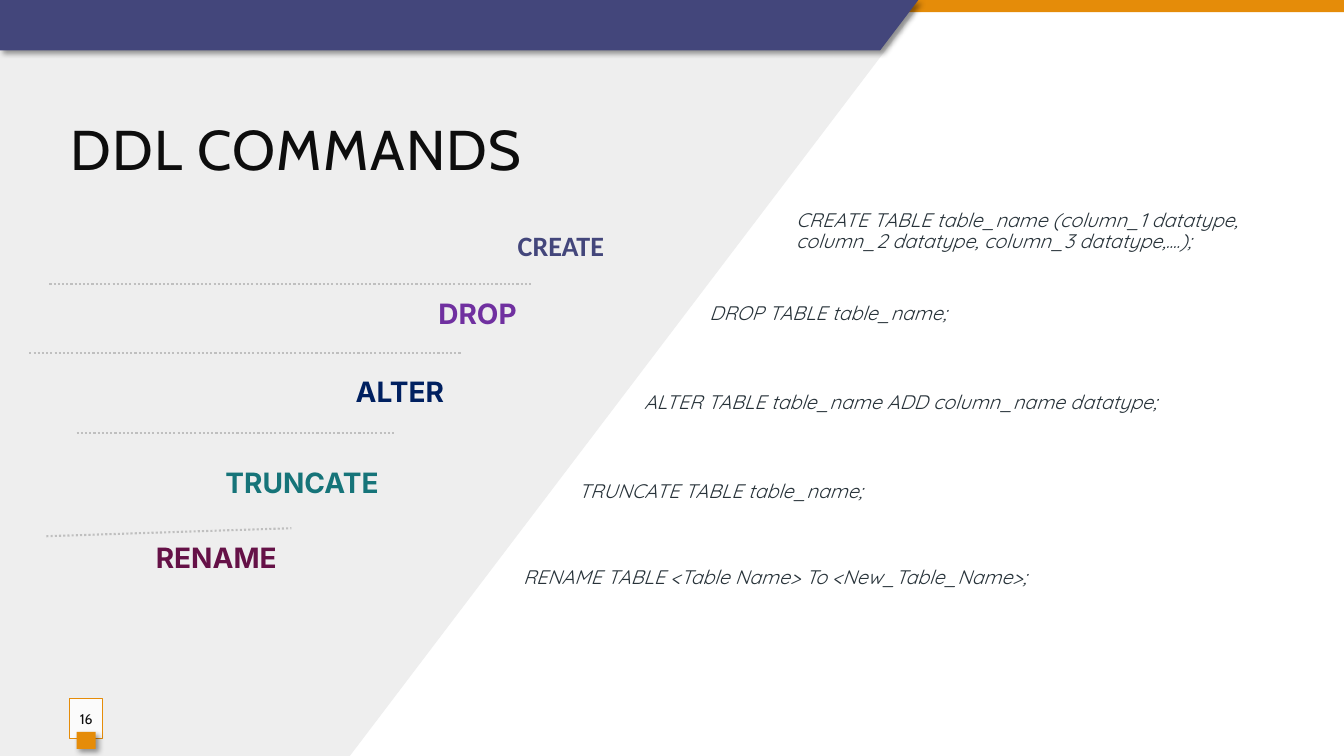
"""Build the DDL commands slide."""
import pptx
import pptx.util
import pptx.dml.color
import pptx.enum.dml
import pptx.enum.shapes
import pptx.enum.text
import pptx.oxml
import pptx.oxml.ns

WIDTH, HEIGHT = 13.33, 7.5
COLOURS = {
    "panel": "EEEEEE", "banner": "43467B", "accent": "E58C09", "white": "FFFFFF",
    "ink": "0D0D0D", "syntax": "273239", "rule": "BFBFBF", "create": "43467B",
    "drop": "7030A0", "alter": "002060", "truncate": "167479", "rename": "651147",
}

# Every position is a percentage of the slide's width or height.
TITLE = ("DDL COMMANDS", (4.5, 14.4, 88.65, 10.27))
PAGE = ("16", (5.18, 92.4, 2.48, 5.33))
PAGE_TAB = (5.7, 96.8, 1.43, 2.27)
TOP_BAR = (0, 0, 100, 1.6)
PANEL = [(0, 0), (68.33, 0), (68.33, 0.93), (26.03, 100), (0, 100)]
BANNER = [(0, 0), (68.33, 0), (65.48, 6.67), (0, 6.67)]
COMMAND_HEIGHT, SYNTAX_HEIGHT = 6.13, 13.33
COMMANDS = [
    ("CREATE", "Calibri", "create", (5.18, 32.67, 40.5)),
    ("DROP ", "Inter", "drop", (6.68, 41.73, 33)),
    ("ALTER ", "Inter", "alter", (12, 52, 22.28)),
    ("TRUNCATE ", "Inter", "truncate", (11.03, 64.13, 18.38)),
    ("RENAME ", "Inter", "rename", (1.58, 74, 20.25)),
]
SYNTAX = [
    ("CREATE TABLE table_name (column_1 datatype, column_2 datatype, column_3 datatype,....);",
     (58.5, 30.67, 40.5)),
    ("DROP TABLE table_name;", (52.05, 41.6, 46.95)),
    ("ALTER TABLE table_name ADD column_name datatype;", (47.18, 53.33, 51.98)),
    ("TRUNCATE TABLE table_name;", (42.3, 65.07, 56.85)),
    ("RENAME TABLE <Table Name> To <New_Table_Name>;", (38.18, 76.53, 58.35)),
]
RULES = [
    (3.68, 37.6, 39.68, 37.6),
    (2.18, 46.67, 34.28, 46.67),
    (5.7, 57.33, 29.4, 57.33),
    (3.45, 70.93, 21.68, 69.87),
]
SHADOW = (
    f'<a:effectLst {pptx.oxml.ns.nsdecls("a")}>'
    '<a:outerShdw blurRad="50800" dist="38100" dir="2700000" algn="tl" rotWithShape="0">'
    '<a:srgbClr val="000000"><a:alpha val="40000"/></a:srgbClr></a:outerShdw></a:effectLst>'
)


def rgb(name):
    return pptx.dml.color.RGBColor.from_string(COLOURS[name])


def place(*shares):
    sides = (WIDTH, HEIGHT, WIDTH, HEIGHT)
    return [pptx.util.Inches(share * side / 100) for share, side in zip(shares, sides)]


def centred(left, middle, width, height):
    return left, middle - height / 2, width, height


def paint(shape, fill, shadowed=False):
    shape.shadow.inherit = False
    shape.fill.solid()
    shape.fill.fore_color.rgb = rgb(fill)
    shape.line.fill.background()
    if shadowed:
        effects = shape._element.spPr.find(pptx.oxml.ns.qn("a:effectLst"))
        effects.getparent().replace(effects, pptx.oxml.parse_xml(SHADOW))
    return shape


def outline(slide, corners, fill, shadowed=False):
    points = [place(*corner) for corner in corners]
    builder = slide.shapes.build_freeform(*points[0])
    builder.add_line_segments(points[1:], close=True)
    return paint(builder.convert_to_shape(), fill, shadowed)


def block(slide, box, fill, shadowed=False):
    rectangle = pptx.enum.shapes.MSO_SHAPE.RECTANGLE
    return paint(slide.shapes.add_shape(rectangle, *place(*box)), fill, shadowed)


def write(shape, text, colour, align="LEFT", spacing=None, **font):
    frame = shape.text_frame
    frame.word_wrap = True
    frame.vertical_anchor = pptx.enum.text.MSO_ANCHOR.MIDDLE
    paragraph = frame.paragraphs[0]
    paragraph.alignment = pptx.enum.text.PP_ALIGN[align]
    paragraph.line_spacing = spacing
    run = paragraph.add_run()
    run.text = text
    run.font.color.rgb = rgb(colour)
    for attribute, value in font.items():
        setattr(run.font, attribute, value)
    return run


def label(slide, box, *content, **style):
    return write(slide.shapes.add_textbox(*place(*box)), *content, **style)


def draw_rule(slide, ends):
    straight = pptx.enum.shapes.MSO_CONNECTOR.STRAIGHT
    rule = slide.shapes.add_connector(straight, *place(*ends))
    rule.line.color.rgb = rgb("rule")
    rule.line.width = pptx.util.Pt(1.5)
    rule.line.dash_style = pptx.enum.dml.MSO_LINE.ROUND_DOT
    rule._element.spPr.append(pptx.oxml.parse_xml(f'<a:effectLst {pptx.oxml.ns.nsdecls("a")}/>'))


def draw_page_number(slide):
    number, box = PAGE
    badge = block(slide, box, "white")
    fill_colour = badge._element.spPr.find(pptx.oxml.ns.qn("a:solidFill"))[0]
    fill_colour.append(pptx.oxml.parse_xml(
        f'<a:alpha {pptx.oxml.ns.nsdecls("a")} val="82000"/>'))
    badge.line.color.rgb = rgb("accent")
    badge.line.width = pptx.util.Pt(0.75)
    badge.text_frame.margin_left = badge.text_frame.margin_right = 0
    write(badge, number, "ink", align="CENTER", name="Cabin", size=pptx.util.Pt(10))
    block(slide, PAGE_TAB, "accent", shadowed=True)


def main():
    deck = pptx.Presentation()
    deck.slide_width = pptx.util.Inches(WIDTH)
    deck.slide_height = pptx.util.Inches(HEIGHT)
    slide = deck.slides.add_slide(deck.slide_layouts[6])

    outline(slide, PANEL, "panel")
    block(slide, TOP_BAR, "accent")
    outline(slide, BANNER, "banner", shadowed=True)

    heading, box = TITLE
    title = label(slide, box, heading, "ink", name="Cabin", size=pptx.util.Pt(40))
    title._r.get_or_add_rPr().set("spc", "100")

    for command, font, colour, spot in COMMANDS:
        label(slide, centred(*spot, COMMAND_HEIGHT), command, colour, align="RIGHT",
              spacing=0.9, name=font, size=pptx.util.Pt(20), bold=True)
    for statement, spot in SYNTAX:
        label(slide, centred(*spot, SYNTAX_HEIGHT), statement, "syntax",
              spacing=0.9, name="Quicksand", size=pptx.util.Pt(14), italic=True)
    for ends in RULES:
        draw_rule(slide, ends)
    draw_page_number(slide)
    deck.save("out.pptx")


if __name__ == "__main__":
    main()
